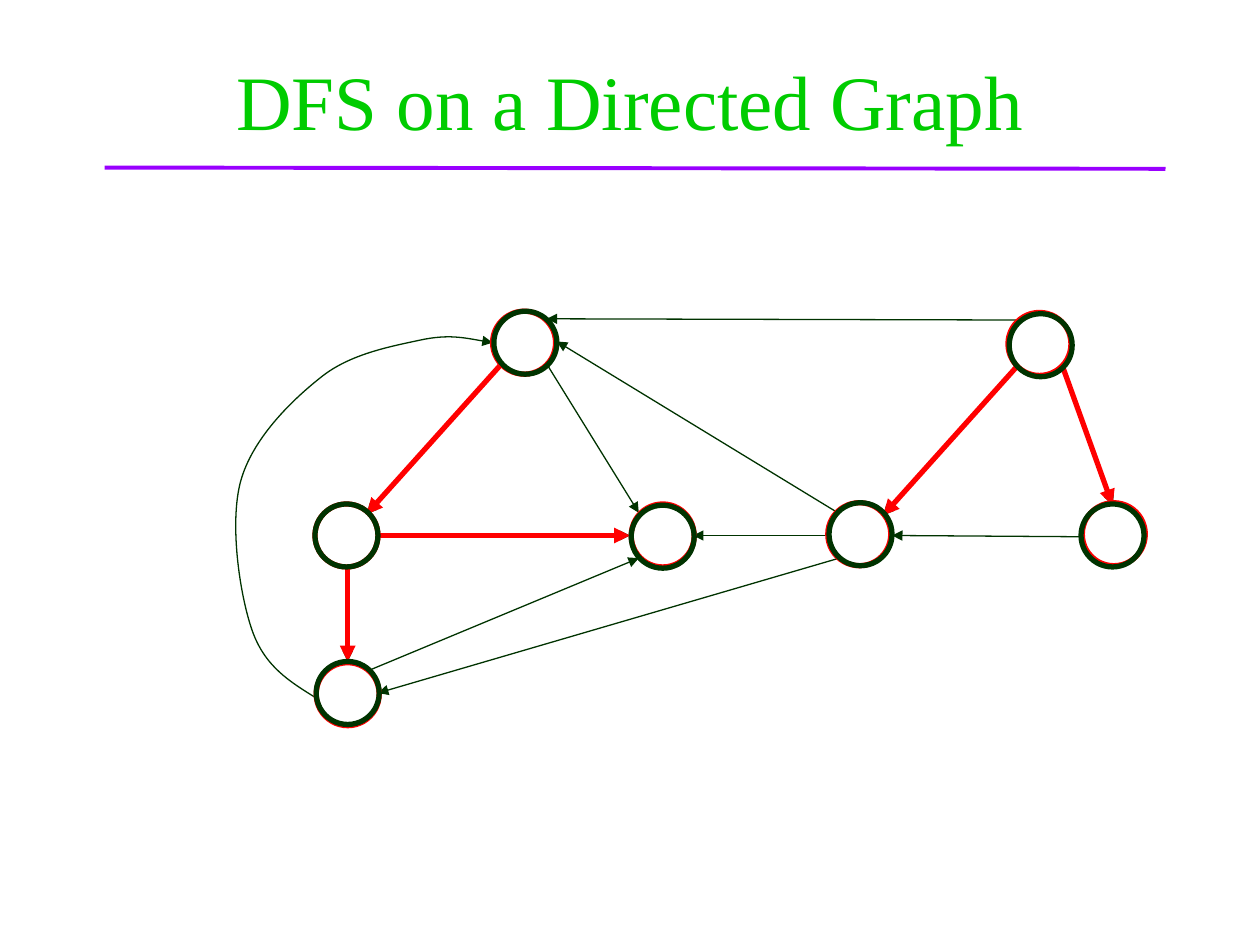
from lxml import etree
from pptx import Presentation
from pptx import util as u
from pptx.dml.color import RGBColor
from pptx.enum import shapes, text
from pptx.oxml.ns import qn

PX = 9144
GREEN = RGBColor(0x00, 0xCC, 0x00)
PURPLE = RGBColor(0x99, 0x00, 0xFF)
DARK = RGBColor(0x00, 0x33, 0x00)
RED = RGBColor(0xFF, 0x00, 0x00)

DIAMETER = 50
THIN, RULE, THICK = 0.75, 2.25, 3

VISITED_NODES = [(391, 247), (250, 400), (501, 400), (251, 526),
                 (800, 248), (657, 399), (859, 399)]
NODES = [(501, 401), (251, 525), (392, 247), (658, 399),
         (250, 400), (858, 400), (801, 249)]
TREE_EDGES = [((397, 290), (291, 408)), ((300, 425), (500, 425)),
              ((276, 450), (276, 525)), ((807, 291), (701, 409)),
              ((843, 290), (883, 401))]
OTHER_EDGES = [((434, 289), (507, 407)), ((658, 425), (550, 425)),
               ((858, 426), (708, 425)), ((666, 443), (300, 550)),
               ((293, 532), (507, 443)), ((665, 407), (442, 271)),
               ((807, 254), (434, 253))]
BACK_EDGE = [(251, 554), (230, 541), (210, 529), (200, 500),
             (190, 471), (182, 415), (191, 382),
             (200, 349), (230, 319), (254, 300),
             (277, 281), (310, 275), (333, 270),
             (356, 265), (373, 269), (391, 272)]


def apply(target, values):
    for name, value in values.items():
        setattr(target, name, value)


class GraphSlide:
    font = "Times New Roman"

    def __init__(self, deck):
        self.page = deck.slides.add_slide(deck.slide_layouts[5])

    def title(self, words, left, top, width, height):
        box = self.page.shapes.title
        apply(box, {"left": left * PX, "top": top * PX,
                    "width": width * PX, "height": height * PX})
        frame = box.text_frame
        apply(frame, {"word_wrap": True, "vertical_anchor": text.MSO_ANCHOR.MIDDLE})
        para = frame.paragraphs[0]
        para.alignment = text.PP_ALIGN.CENTER
        span = para.add_run()
        span.text = words
        apply(span.font, {"name": self.font, "size": u.Pt(44)})
        span.font.color.rgb = GREEN

    def stroke(self, shape, color, weight, arrow=False):
        shape.line.color.rgb = color
        shape.line.width = u.Pt(weight)
        if arrow:
            outline = shape.line._get_or_add_ln()
            etree.SubElement(outline, qn("a:tailEnd"), type="triangle")

    def line(self, start, end, color, weight, arrow=True):
        ends = [value * PX for value in (*start, *end)]
        edge = self.page.shapes.add_connector(shapes.MSO_CONNECTOR.STRAIGHT, *ends)
        self.stroke(edge, color, weight, arrow)
        etree.SubElement(edge._element.spPr, qn("a:effectLst"))

    def circle(self, left, top, color):
        node = self.page.shapes.add_shape(
            shapes.MSO_SHAPE.OVAL, left * PX, top * PX, DIAMETER * PX, DIAMETER * PX)
        node.shadow.inherit = False
        node.fill.background()
        self.stroke(node, color, THICK)

    def curve(self, points, color, weight):
        builder = self.page.shapes.build_freeform(*points[0], scale=PX)
        builder.add_line_segments(points[1:], close=False)
        edge = builder.convert_to_shape()
        segments = list(edge._element.iter(qn("a:lnTo")))
        for first in range(0, len(segments), 3):
            bezier = etree.Element(qn("a:cubicBezTo"))
            segments[first].addprevious(bezier)
            for segment in segments[first:first + 3]:
                bezier.append(segment[0])
                segment.getparent().remove(segment)
        edge.shadow.inherit = False
        edge.fill.background()
        self.stroke(edge, color, weight, arrow=True)


def main():
    deck = Presentation()
    apply(deck, {"slide_width": 1000 * PX, "slide_height": 750 * PX})
    graph = GraphSlide(deck)
    graph.title("DFS on a Directed Graph", 75, 17, 850, 125)
    graph.line((83, 133), (925, 134), PURPLE, RULE, arrow=False)
    for start, end in TREE_EDGES + OTHER_EDGES:
        graph.line(start, end, DARK, THIN)
    graph.curve(BACK_EDGE, DARK, THIN)
    for left, top in VISITED_NODES:
        graph.circle(left, top, RED)
    for start, end in TREE_EDGES:
        graph.line(start, end, RED, THICK)
    for left, top in NODES:
        graph.circle(left, top, DARK)
    deck.save("out.pptx")


if __name__ == "__main__":
    main()
